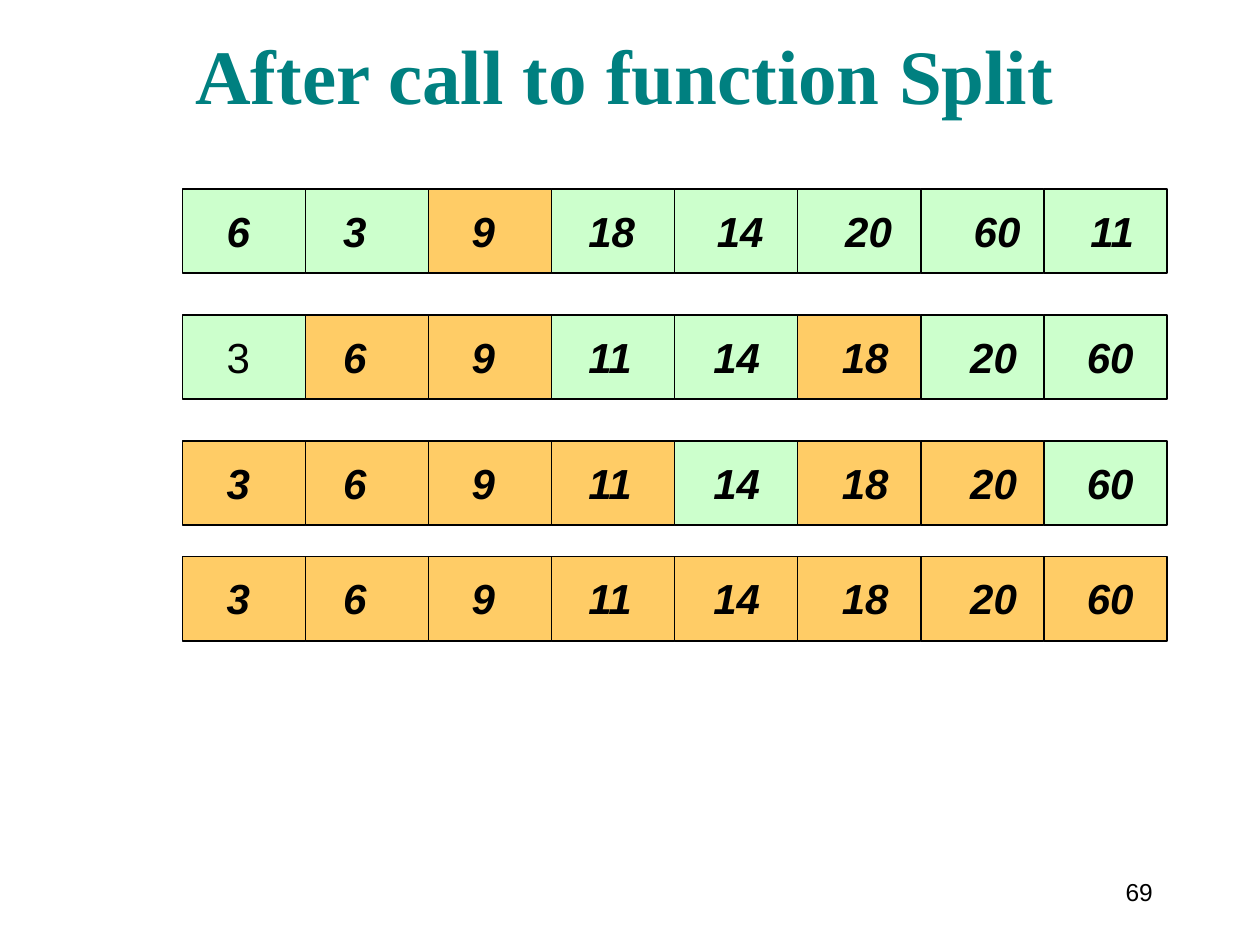
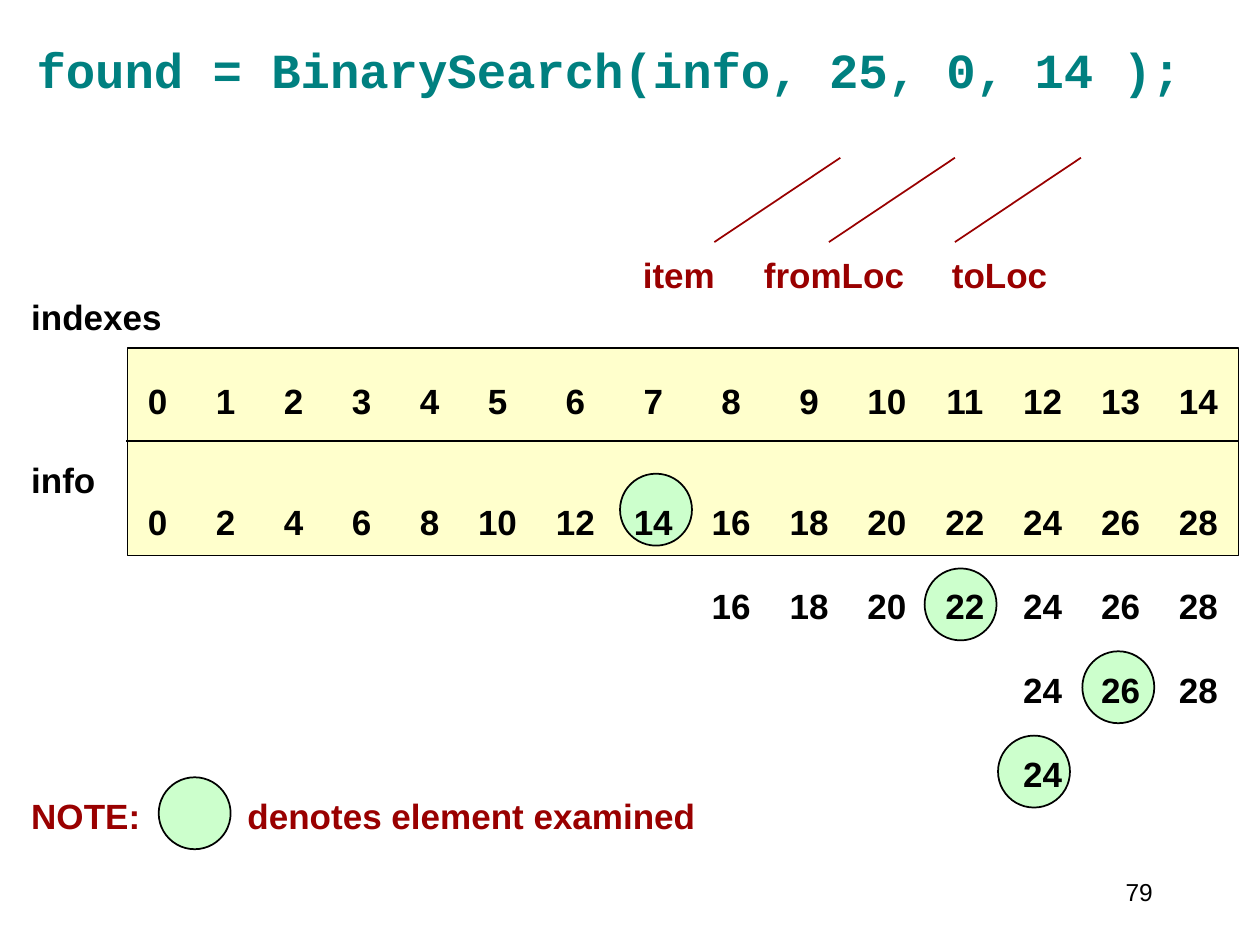
from lxml import etree
from pptx import Presentation
from pptx.dml.color import RGBColor
from pptx.enum.shapes import MSO_CONNECTOR, MSO_SHAPE
from pptx.enum.text import MSO_ANCHOR, PP_ALIGN
from pptx.oxml.ns import qn
from pptx.util import Cm, Pt

RECT, OVAL = MSO_SHAPE.RECTANGLE, MSO_SHAPE.OVAL
LINE = MSO_CONNECTOR.STRAIGHT
LEFT, MID, RIGHT = PP_ALIGN.LEFT, PP_ALIGN.CENTER, PP_ALIGN.RIGHT
TOP, CORE, BASE = MSO_ANCHOR.TOP, MSO_ANCHOR.MIDDLE, MSO_ANCHOR.BOTTOM

BLACK = RGBColor(0x00, 0x00, 0x00)
TEAL = RGBColor(0x00, 0x80, 0x80)
RED = RGBColor(0x99, 0x00, 0x00)
GREEN = RGBColor(0xCC, 0xFF, 0xCC)
GOLD = RGBColor(0xFF, 0xCC, 0x66)
CREAM = RGBColor(0xFF, 0xFF, 0xCC)

SORTS = [
    {"top": 3.81, "nums": [6, 3, 9, 18, 14, 20, 60, 11], "done": {2}},
    {"top": 6.35, "nums": [3, 6, 9, 11, 14, 18, 20, 60], "done": {1, 2, 5}, "plain": 1},
    {"top": 8.89, "nums": [3, 6, 9, 11, 14, 18, 20, 60], "done": {0, 1, 2, 3, 5, 6}},
    {"top": 11.22, "nums": [3, 6, 9, 11, 14, 18, 20, 60], "done": set(range(8))},
]
STOPS = [0.71, 3.06, 5.65, 8, 10.59, 13.18, 15.77, 18.12]
KERN = 0.07
CELL_X, CELL_W, CELL_H = 3.68, 2.48, 1.7

COUNT = 15
INFO = list(range(0, 2 * COUNT, 2))
CALL = "found = BinarySearch(info, 25, 0, 14 );"
ARGS = ["item", "fromLoc", "toLoc"]
ARG_X = [12.33, 14.77, 18.56]
NOTE = "NOTE:\tdenotes element examined"
ENDS = [16.94, 19.25, 21.79]
DISC = 1.45
DISCS = [(3.2, 15.67), (12.5, 9.55), (18.64, 11.46), (20.12, 14.83), (21.82, 13.13)]


def text(slide, box, lines, size=20, font="Arial", color=BLACK, bold=False,
         slant=False, align=LEFT, anchor=TOP, side=0.25, pitch=None):
    frame = slide.shapes.add_textbox(*map(Cm, box)).text_frame
    frame.word_wrap = True
    frame.vertical_anchor = anchor
    frame.margin_left = frame.margin_right = Cm(side)
    frame.margin_top = frame.margin_bottom = Cm(0.13)
    for i, line in enumerate(lines):
        para = frame.add_paragraph() if i else frame.paragraphs[0]
        if line.get("stops"):
            tabs = etree.SubElement(para._p.get_or_add_pPr(), qn("a:tabLst"))
            for stop in line["stops"]:
                etree.SubElement(tabs, qn("a:tab"), pos=str(Cm(stop)),
                                 algn=line.get("tab", "l"))
        para.alignment = align
        para.space_before = Pt(line.get("gap", 0))
        if pitch:
            para.line_spacing = Pt(pitch)
        plain = line.get("plain", 0)
        words = line["words"]
        for part, thin in ((words[:plain], True), (words[plain:], False)):
            if part:
                run = para.add_run()
                run.text = part
                run.font.size = Pt(size)
                run.font.name = font
                run.font.color.rgb = line.get("color", color)
                run.font.bold = bold and not thin
                run.font.italic = slant and not thin


def shape(slide, kind, box, fill):
    item = slide.shapes.add_shape(kind, *map(Cm, box))
    item.shadow.inherit = False
    item.fill.solid()
    item.fill.fore_color.rgb = fill
    item.line.color.rgb = BLACK
    item.line.width = Pt(1)


def rule(slide, ends, color):
    item = slide.shapes.add_connector(LINE, *map(Cm, ends))
    item.line.color.rgb = color
    item.line.width = Pt(1)
    etree.SubElement(item._element.spPr, qn("a:effectLst"))


def page(deck, num, title, box, **style):
    slide = deck.slides.add_slide(deck.slide_layouts[6])
    text(slide, (21.79, 17.35, 1.7, 1.27), [{"words": str(num)}],
         size=14, align=RIGHT, anchor=CORE)
    text(slide, box, [{"words": title}], color=TEAL, bold=True,
         align=MID, anchor=BASE, **style)
    return slide


def split(deck):
    slide = page(deck, 69, "After call to function Split", (1.7, 0.84, 21.79, 1.7),
                 size=44, font="Times New Roman")
    for row in SORTS:
        for i in range(len(row["nums"])):
            shape(slide, RECT, (CELL_X + i * CELL_W, row["top"], CELL_W, CELL_H),
                  GOLD if i in row["done"] else GREEN)
        shift = KERN if row["nums"][3] == 11 else 0
        stops = [x - shift * (i > 3) for i, x in enumerate(STOPS)]
        words = "".join(f"\t{n}" for n in row["nums"])
        plain = 1 + row["plain"] if "plain" in row else 0
        text(slide, (3.61, row["top"] + 0.2, 19.89, 1.27),
             [{"words": words, "stops": stops, "plain": plain}],
             size=24, bold=True, slant=True)


def series(nums, gap):
    mids = [2.55 + 1.37 * min(i, 5) + 1.57 * max(0, i - 5) for i in range(COUNT)]
    return nums, mids, gap


def search(deck):
    slide = page(deck, 79, CALL, (0.43, 0.84, 23.7, 1.27),
                 size=28, font="Courier New", side=0.13)
    shape(slide, RECT, (2.57, 7.01, 22.4, 4.19), CREAM)
    rule(slide, (2.54, 8.89, 24.97, 8.89), BLACK)
    for x in ENDS:
        rule(slide, (x, 3.18, x - 2.54, 4.88), RED)
    for x, y in DISCS:
        shape(slide, OVAL, (x, y, DISC, DISC), GREEN)

    mids = [2.55 + 1.37 * min(i, 5) + 1.57 * max(0, i - 5) for i in range(COUNT)]

    def nums(vals, first, last, gap):
        return {"words": "".join(f"\t{n}" for n in vals[first:last]),
                "stops": mids[first:last], "tab": "ctr", "gap": gap}

    lines = [
        {"words": "".join(f"\t{a}" for a in ARGS), "stops": ARG_X, "color": RED},
        {"words": "indexes"},
        nums(range(COUNT), 0, COUNT, 24),
        {"words": "info", "gap": 21},
        nums(INFO, 0, COUNT, 0),
        nums(INFO, 8, COUNT, 24),
        nums(INFO, 12, COUNT, 24),
        nums(INFO, 12, 13, 24),
        {"words": NOTE, "stops": [4.36], "color": RED},
    ]
    text(slide, (0.38, 4.98, 24.66, 12.01), lines, bold=True, pitch=24)


def main():
    deck = Presentation()
    deck.slide_width, deck.slide_height = Cm(25.4), Cm(19.05)
    split(deck)
    search(deck)
    deck.save("out.pptx")


if __name__ == "__main__":
    main()
